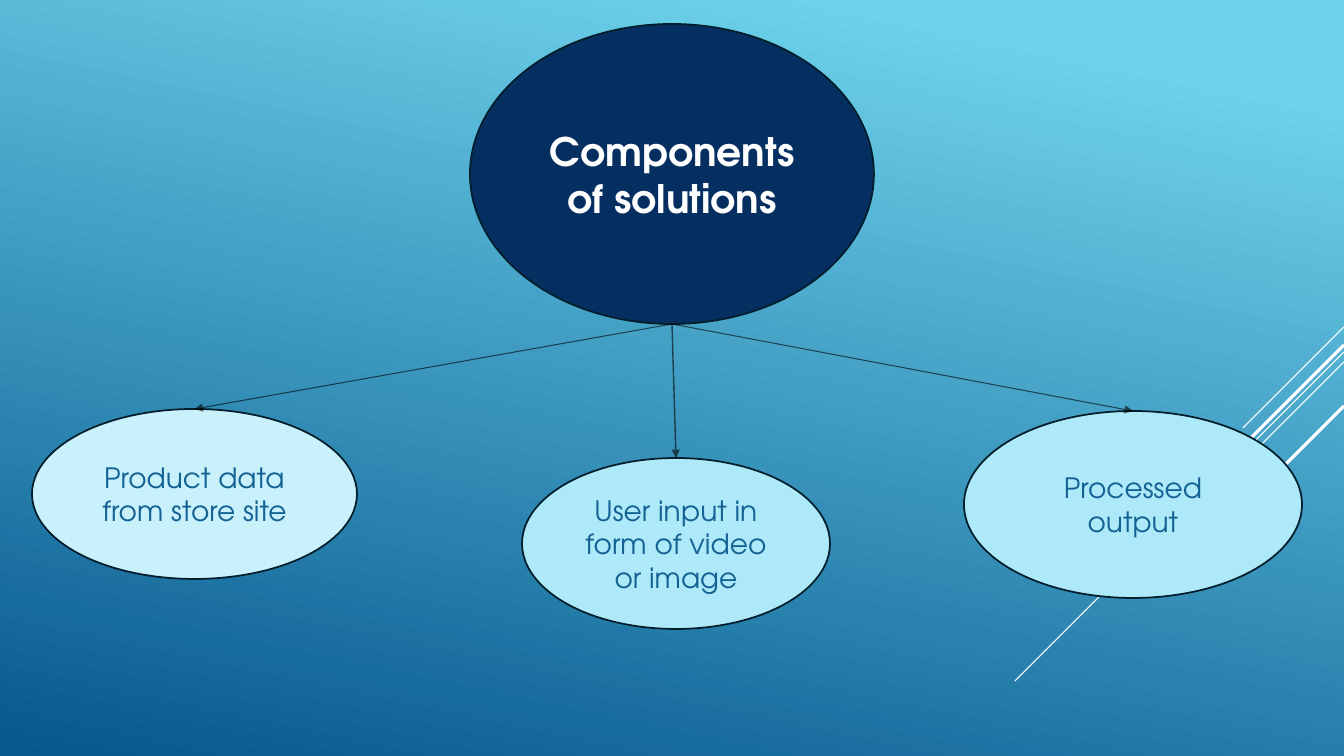
from dataclasses import dataclass

from lxml.etree import SubElement
from pptx import Presentation
from pptx.dml.color import RGBColor
from pptx.enum.shapes import MSO_CONNECTOR, MSO_SHAPE
from pptx.enum.text import MSO_ANCHOR, PP_ALIGN
from pptx.oxml.ns import qn
from pptx.util import Emu, Pt

WIDTH, HEIGHT = 1344, 756
EMU_PER_PX = 914400 / 100.8


@dataclass(frozen=True)
class Theme:
    font: str = "TeX Gyre Adventor"
    sky: str = "6ED2EB"
    ocean: str = "06588E"
    navy: str = "052F61"
    pale: str = "C8F1FB"
    aqua: str = "ADE9F8"
    outline: str = "021E2B"
    label: str = "146194"
    white: str = "FFFFFF"
    black: str = "000000"
    title_size: int = 28
    label_size: int = 20


def px(length):
    return Emu(round(length * EMU_PER_PX))


def rgb(value):
    return RGBColor.from_string(value)


class DiagramSlide:
    """Draws the elements of one diagram slide in a shared theme."""

    def __init__(self, presentation, theme):
        self.theme = theme
        self.slide = presentation.slides.add_slide(presentation.slide_layouts[6])

    def background(self, clockwise_angle):
        fill = self.slide.background.fill
        fill.gradient()
        fill.gradient_angle = 360 - clockwise_angle
        stops = ((0.1, self.theme.sky), (1, self.theme.ocean))
        for stop, (position, color) in zip(fill.gradient_stops, stops):
            stop.position = position
            stop.color.rgb = rgb(color)

    def line(self, start, end, color, width):
        connector = self.slide.shapes.add_connector(
            MSO_CONNECTOR.STRAIGHT, *map(px, (*start, *end))
        )
        connector.line.color.rgb = rgb(color)
        connector.line.width = Pt(width)
        SubElement(connector._element.spPr, qn("a:effectLst"))
        return connector

    def arrow(self, start, target, width):
        connector = self.line(start, start, self.theme.black, width)
        connector.end_connect(target, 0)
        outline = connector.line._get_or_add_ln()
        SubElement(outline.find(".//" + qn("a:srgbClr")), qn("a:alpha"), val="60000")
        SubElement(outline, qn("a:tailEnd"), type="triangle")

    def ellipse(self, box, text, fill, color, size, bold=False):
        shape = self.slide.shapes.add_shape(MSO_SHAPE.OVAL, *map(px, box))
        shape.shadow.inherit = False
        shape.fill.solid()
        shape.fill.fore_color.rgb = rgb(fill)
        shape.line.color.rgb = rgb(self.theme.outline)
        shape.line.width = Pt(1.25)
        text_frame = shape.text_frame
        text_frame.word_wrap = True
        text_frame.vertical_anchor = MSO_ANCHOR.MIDDLE
        text_frame.text = text
        paragraph = text_frame.paragraphs[0]
        paragraph.alignment = PP_ALIGN.CENTER
        font = paragraph.runs[0].font
        font.name = self.theme.font
        font.size = Pt(size)
        font.bold = bold
        font.color.rgb = rgb(color)
        return shape


def main():
    presentation = Presentation()
    presentation.slide_width, presentation.slide_height = px(WIDTH), px(HEIGHT)
    theme = Theme()
    diagram = DiagramSlide(presentation, theme)
    diagram.background(102)

    diagonals = (
        (327, 101, 0.75),
        (352, 329, 0.75),
        (362, 209, 0.75),
        (345, 192, 2.25),
        (406, 140, 2.25),
    )
    for top, reach, width in diagonals:
        diagram.line((WIDTH, top), (WIDTH - reach, top + reach), theme.white, width)

    diagram.ellipse(
        (470, 24, 404, 300), "Components of solutions",
        theme.navy, theme.white, theme.title_size, bold=True,
    )
    components = (
        ((32, 409, 325, 170), "Product data from store site", theme.pale, 0.75),
        ((522, 458, 308, 171), "User input in form of video or image", theme.aqua, 1),
        ((964, 411, 338, 187), "Processed output", theme.aqua, 0.75),
    )
    for box, text, fill, arrow_width in components:
        component = diagram.ellipse(box, text, fill, theme.label, theme.label_size)
        diagram.arrow((672, 324), component, arrow_width)

    presentation.save("out.pptx")


if __name__ == "__main__":
    main()
